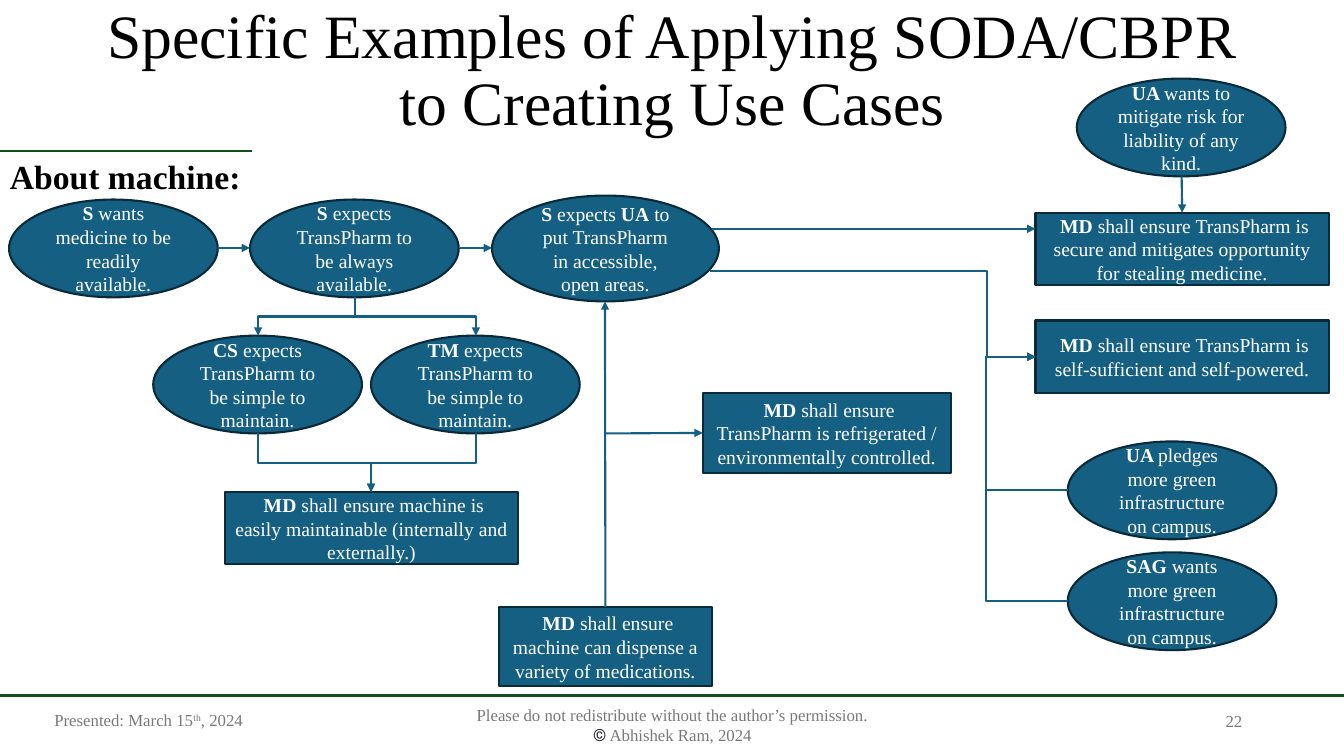
from dataclasses import dataclass

from lxml import etree
from pptx import Presentation
from pptx.dml.color import RGBColor
from pptx.enum.shapes import MSO_CONNECTOR, MSO_SHAPE
from pptx.enum.text import MSO_ANCHOR, MSO_AUTO_SIZE, PP_ALIGN
from pptx.oxml.ns import qn
from pptx.util import Inches, Pt

OVAL, RECT = MSO_SHAPE.OVAL, MSO_SHAPE.RECTANGLE
STRAIGHT, ELBOW = MSO_CONNECTOR.STRAIGHT, MSO_CONNECTOR.ELBOW
LEFT, CENTER, RIGHT = PP_ALIGN.LEFT, PP_ALIGN.CENTER, PP_ALIGN.RIGHT
TOP, MIDDLE = MSO_ANCHOR.TOP, MSO_ANCHOR.MIDDLE


@dataclass(frozen=True)
class Theme:
    font: str = "Times New Roman"
    symbol_font: str = "Roboto"
    black: str = "000000"
    white: str = "FFFFFF"
    gray: str = "797979"
    symbol: str = "1F1E33"
    blue: str = "156082"
    outline: str = "092A39"
    green: str = "13501B"
    title: int = 44
    heading: int = 24
    body: int = 14
    footer: int = 12
    line: float = 1.5


T = Theme()


def write(sp, *paragraphs, size=T.body, color=T.white, bold=False, align=CENTER,
          anchor=MIDDLE, spacing=None):
    """Each paragraph is a list of (text, format overrides) runs."""
    tf = sp.text_frame
    tf.word_wrap = True
    tf.auto_size = MSO_AUTO_SIZE.NONE
    tf.vertical_anchor = anchor
    for i, runs in enumerate(paragraphs):
        p = tf.paragraphs[0] if i == 0 else tf.add_paragraph()
        p.alignment = align
        p.line_spacing = spacing
        for text, style in runs:
            r = p.add_run()
            r.text = text
            r.font.name = style.get("font", T.font)
            r.font.size = Pt(size)
            r.font.bold = style.get("bold", bold)
            r.font.color.rgb = RGBColor.from_string(style.get("color", color))
            if "baseline" in style:
                r.font._element.set("baseline", str(style["baseline"]))


def link(kind, x1, y1, x2, y2, color=T.blue, arrow="tailEnd", adjust=None, vertical=False):
    """Draw a connector; a vertical elbow leaves its start downwards."""
    turn = 0
    if vertical:
        cx, cy = (x1 + x2) / 2, (y1 + y2) / 2
        half_w, half_h = (y2 - y1) / 2, abs(x2 - x1) / 2
        turn = 90 if x2 < x1 else 270
        side = 1 if x2 < x1 else -1
        x1, x2 = cx - side * half_w, cx + side * half_w
        y1, y2 = cy - half_h, cy + half_h
    c = slide.shapes.add_connector(kind, Inches(x1), Inches(y1), Inches(x2), Inches(y2))
    c.line.color.rgb = RGBColor.from_string(color)
    c.line.width = Pt(T.line)
    props = c._element.spPr
    if turn:
        props.find(qn("a:xfrm")).set("rot", str(turn * 60000))
    if adjust is not None:
        guides = props.find(qn("a:prstGeom")).get_or_add_avLst()
        etree.SubElement(guides, qn("a:gd"), name="adj1", fmla=f"val {round(adjust * 100000)}")
    if arrow:
        etree.SubElement(c.line._get_or_add_ln(), qn(f"a:{arrow}"), type="triangle")
    etree.SubElement(props, qn("a:effectLst"))
    return c


prs = Presentation()
prs.slide_width, prs.slide_height = Inches(13.33), Inches(7.5)
slide = prs.slides.add_slide(prs.slide_layouts[5])

# Title
sp = slide.shapes.title
sp.left, sp.top, sp.width, sp.height = Inches(0.92), Inches(-0.01), Inches(11.5), Inches(1.45)
write(sp, [("Specific Examples of Applying SODA/CBPR to Creating Use Cases", {})],
      size=T.title, color=T.black, spacing=0.9)

# Green rules
for y, right in ((6.9, 13.33), (1.5, 2.5)):
    link(STRAIGHT, 0, y, right, y, color=T.green, arrow=None)

# Heading and footer texts
footer = {"size": T.footer, "color": T.gray}
labels = [
    ((0, 1.5, 2.56, 0.5), [[("About machine:", {})]],
     {"size": T.heading, "color": T.black, "bold": True, "align": LEFT, "anchor": TOP}),
    ((0.44, 6.95, 2.11, 0.4),
     [[("Presented: March 15", {}), ("th", {"baseline": 30000}), (", 2024", {})]],
     {**footer, "align": LEFT, "spacing": 0.9}),
    ((4.42, 6.99, 4.5, 0.4),
     [[("Please do not redistribute without the author’s permission.", {})],
      [("©", {"font": T.symbol_font, "color": T.symbol}), (" Abhishek Ram, 2024", {})]],
     footer),
    ((9.42, 6.95, 3, 0.4), [[("22", {})]], {**footer, "align": RIGHT}),
]
for box, paragraphs, style in labels:
    write(slide.shapes.add_textbox(*map(Inches, box)), *paragraphs, **style)

# Stakeholder ovals and requirement boxes; asterisks enclose bold text
oval, wide = (2.07, 0.97), (2.91, 0.72)
nodes = {
    "ready": (OVAL, 0.09, 1.98, oval, "*S *wants medicine to be readily available."),
    "always": (OVAL, 2.48, 1.98, oval, "*S* expects TransPharm to be always available."),
    "open": (OVAL, 4.88, 1.94, (2.25, 1.05),
             "*S* expects *UA* to put TransPharm in accessible, open areas."),
    "risk": (OVAL, 10.68, 0.78, oval, "*UA *wants to mitigate risk for liability of any kind."),
    "staff": (OVAL, 1.52, 3.33, oval, "*CS* expects TransPharm to be simple to maintain."),
    "team": (OVAL, 3.68, 3.33, oval, "*TM* expects TransPharm to be simple to maintain."),
    "pledge": (OVAL, 10.59, 4.38, oval, "*UA *pledges more green infrastructure on campus."),
    "green": (OVAL, 10.59, 5.48, oval, "*SAG *wants more green infrastructure on campus."),
    "secure": (RECT, 10.27, 2.11, wide, "* MD* shall ensure TransPharm is secure and "
               "mitigates opportunity for stealing medicine."),
    "powered": (RECT, 10.27, 3.18, wide,
                "* MD* shall ensure TransPharm is self-sufficient and self-powered."),
    "maintain": (RECT, 2.23, 4.88, wide, "* MD* shall ensure machine is easily "
                 "maintainable (internally and externally.)"),
    "dispense": (RECT, 4.95, 6.02, (2.11, 0.79),
                 "* MD* shall ensure machine can dispense a variety of medications."),
    "cooled": (RECT, 6.97, 3.9, (2.46, 0.79), "* MD* shall ensure TransPharm is "
               "refrigerated / environmentally controlled."),
}
shapes = {}
for name, (kind, x, y, (w, h), text) in nodes.items():
    sp = slide.shapes.add_shape(kind, Inches(x), Inches(y), Inches(w), Inches(h))
    sp.shadow.inherit = False
    sp.fill.solid()
    sp.fill.fore_color.rgb = RGBColor.from_string(T.blue)
    sp.line.color.rgb = RGBColor.from_string(T.outline)
    sp.line.width = Pt(T.line)
    pieces = enumerate(text.split("*"))
    write(sp, [(piece, {"bold": i % 2 == 1}) for i, piece in pieces if piece])
    shapes[name] = sp

# Straight arrows
link(STRAIGHT, 2.16, 2.46, 2.48, 2.46)
link(STRAIGHT, 4.56, 2.46, 4.88, 2.46)
link(STRAIGHT, 7.06, 2.27, 10.27, 2.27)
link(STRAIGHT, 11.72, 1.75, 11.72, 2.11).end_connect(shapes["secure"], 0)
link(STRAIGHT, 6, 4.3, 6.97, 4.3).end_connect(shapes["cooled"], 1)
link(STRAIGHT, 6, 6.02, 6, 2.99).begin_connect(shapes["dispense"], 0)

# Elbows into and out of the two maintenance ovals
for x in (2.56, 4.72):
    link(ELBOW, 3.52, 2.95, x, 3.33, vertical=True)
    link(ELBOW, x, 4.3, 3.68, 4.88, vertical=True)

# Elbows into the self-powered requirement
for x, y, adjust in ((7.04, 2.69, 0.85), (10.59, 4.86, 2.54), (10.59, 5.96, 2.54)):
    link(ELBOW, x, y, 10.27, 3.54, adjust=adjust)

prs.save("out.pptx")
